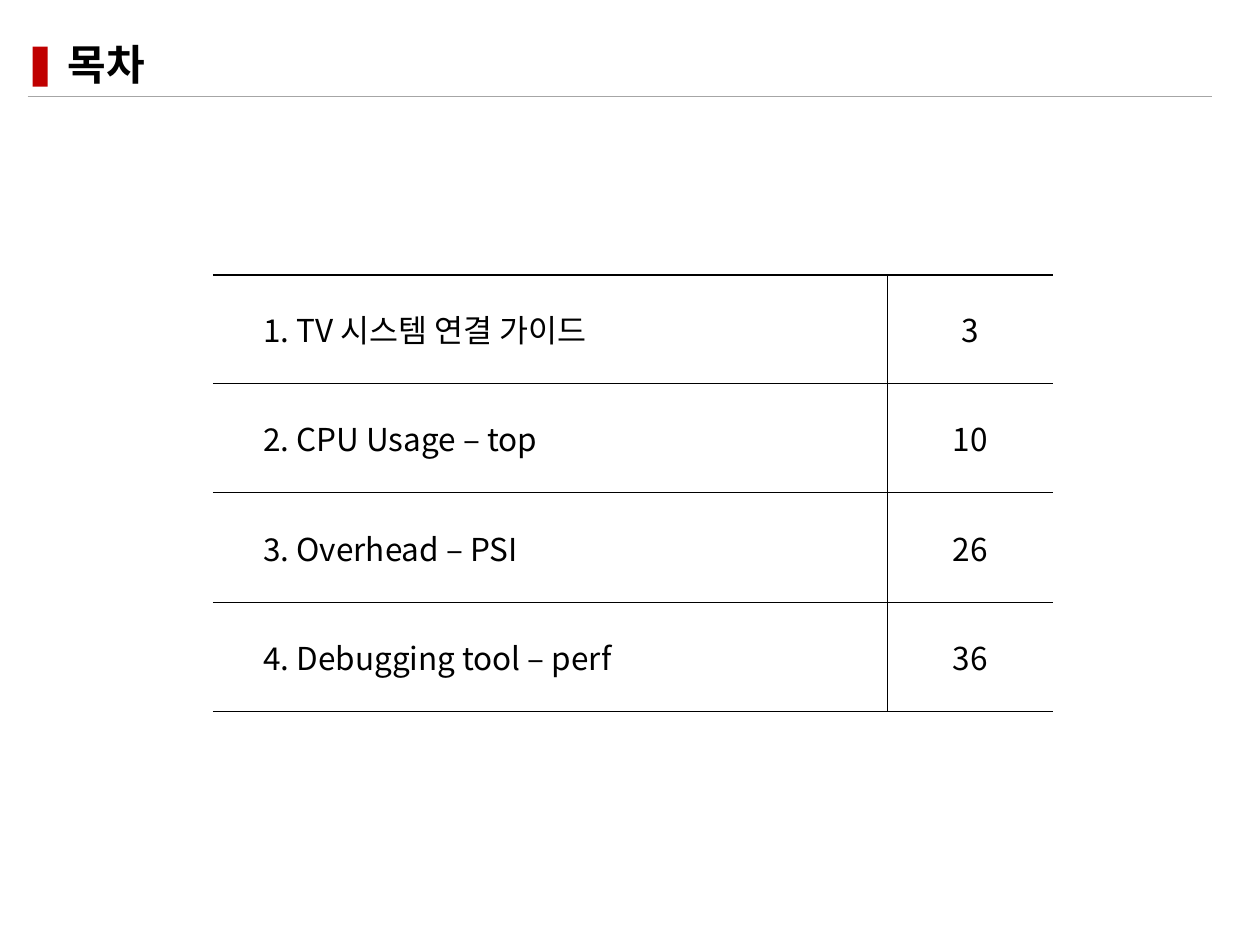
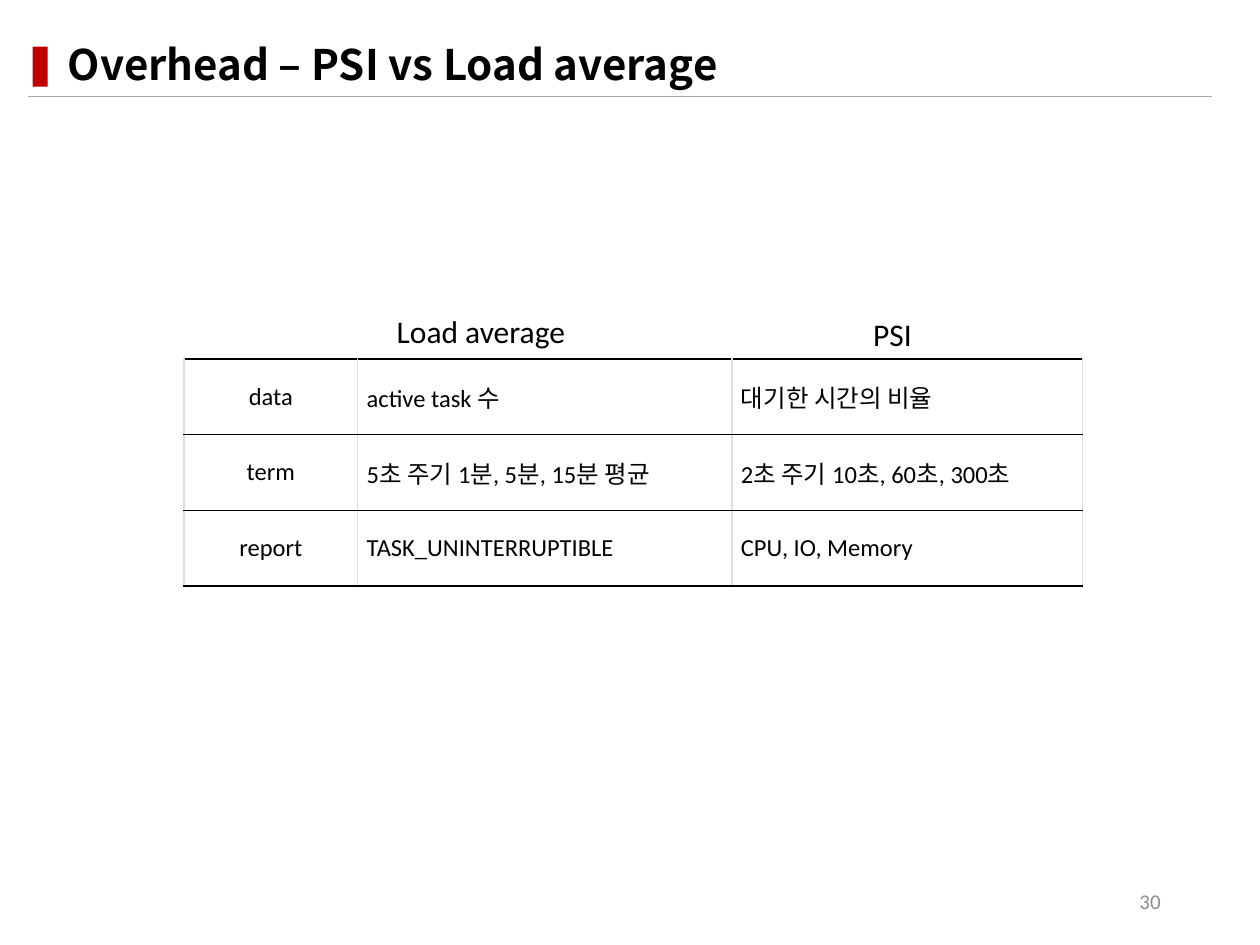
from dataclasses import dataclass

from lxml import etree
from pptx import Presentation
from pptx.dml.color import RGBColor
from pptx.enum.shapes import MSO_CONNECTOR, MSO_SHAPE
from pptx.enum.text import MSO_ANCHOR, MSO_AUTO_SIZE, PP_ALIGN
from pptx.oxml.ns import qn
from pptx.util import Pt

LEFT, CENTER, RIGHT = PP_ALIGN.LEFT, PP_ALIGN.CENTER, PP_ALIGN.RIGHT
TOP, MIDDLE = MSO_ANCHOR.TOP, MSO_ANCHOR.MIDDLE
GROW = MSO_AUTO_SIZE.SHAPE_TO_FIT_TEXT
RECTANGLE, STRAIGHT = MSO_SHAPE.RECTANGLE, MSO_CONNECTOR.STRAIGHT


@dataclass(frozen=True)
class Theme:
    ink: str = "000000"
    paper: str = "FFFFFF"
    accent: str = "C00000"
    rule: str = "A6A6A6"
    grid: str = "DDDDDD"
    muted: str = "8C8C8C"
    korean: str = "Noto Sans CJK KR"
    latin: str = "Calibri"
    title_size: float = 24
    heading_size: float = 18
    body_size: float = 14
    page_size: float = 12


THEME = Theme()
THIN, THICK, GRID = (THEME.ink, 0.5), (THEME.ink, 1), (THEME.grid, 0.75)

HEADER_BOX = (15.8, 23.8, 676.9, 31.6)
CONTENTS_BOX = (121.7, 157, 480.2, 249.7)
COMPARISON_BOX = (105.1, 175, 513.4, 159.8)
PAGE_BOX = (508.3, 500.4, 162, 28.8)

CONTENTS = [
    ("1. TV 시스템 연결 가이드", "3"),
    ("2. CPU Usage – top", "10"),
    ("3. Overhead – PSI", "26"),
    ("4. Debugging tool – perf", "36"),
]
COMPARISON = [
    ("data", "active task 수", "대기한 시간의 비율"),
    ("term", "5초 주기 1분, 5분, 15분 평균", "2초 주기 10초, 60초, 300초"),
    ("report", "TASK_UNINTERRUPTIBLE", "CPU, IO, Memory"),
]


def write(frame, text, size, font, color=THEME.ink, align=LEFT, bold=False):
    frame.text = text
    paragraph = frame.paragraphs[0]
    paragraph.alignment = align
    for run in paragraph.runs:
        run.font.size = Pt(size)
        run.font.name = font
        run.font.bold = bold
        run.font.color.rgb = RGBColor.from_string(color)
        east_asian = etree.Element(qn("a:ea"), typeface=THEME.korean)
        run.font._element.find(qn("a:latin")).addnext(east_asian)
    return paragraph


def add_text(slide, box, text, size, font, anchor=MIDDLE, **style):
    frame = slide.shapes.add_textbox(*map(Pt, box)).text_frame
    paragraph = write(frame, text, size, font, **style)
    frame.word_wrap = True
    frame.vertical_anchor = anchor
    return frame, paragraph


def set_borders(cell, left=None, right=None, top=None, bottom=None):
    """Draw each side given as (colour, width); clear the others."""
    properties = cell._tc.get_or_add_tcPr()
    for side, border in zip("LRTB", (left, right, top, bottom)):
        line = etree.SubElement(properties, qn(f"a:ln{side}"))
        if border is None:
            etree.SubElement(line, qn("a:noFill"))
            continue
        color, width = border
        line.set("w", str(Pt(width)))
        fill = etree.SubElement(line, qn("a:solidFill"))
        etree.SubElement(fill, qn("a:srgbClr"), val=color)


def add_plain_table(slide, box, widths, heights):
    """Add a table without header or banding, sized by its columns and rows."""
    table = slide.shapes.add_table(len(heights), len(widths), *map(Pt, box)).table
    table.first_row = table.horz_banding = False
    for column, width in zip(table.columns, widths):
        column.width = Pt(width)
    for row, height in zip(table.rows, heights):
        row.height = Pt(height)
    return table


def add_header(slide, box, title):
    left, top, width, height = box
    bar = slide.shapes.add_shape(
        RECTANGLE, Pt(left + 2.9), Pt(top + 2.8), Pt(8.6), Pt(23))
    bar.shadow.inherit = False
    bar.fill.solid()
    bar.fill.fore_color.rgb = RGBColor.from_string(THEME.accent)
    bar.line.fill.background()

    bottom = Pt(top + height)
    rule = slide.shapes.add_connector(
        STRAIGHT, Pt(left), bottom, Pt(left + width), bottom)
    rule.line.color.rgb = RGBColor.from_string(THEME.rule)
    rule.line.width = Pt(0.5)
    etree.SubElement(rule._element.spPr, qn("a:effectLst"))

    title_box = (left + 15.9, top, width - 15.9, 28.8)
    _, paragraph = add_text(slide, title_box, title, THEME.title_size,
                            THEME.korean, bold=True)
    paragraph.line_spacing = 0.9


def add_contents(slide, box):
    page_width, first_height = 95, 61.9
    last = len(CONTENTS) - 1
    widths = (box[2] - page_width, page_width)
    heights = [first_height] + [(box[3] - first_height) / last] * last
    table = add_plain_table(slide, box, widths, heights)
    for r, entry in enumerate(CONTENTS):
        edges = {"top": THIN if r else THICK, "bottom": THICK if r == last else THIN}
        for c, text in enumerate(entry):
            cell = table.cell(r, c)
            cell.vertical_anchor = MIDDLE
            paragraph = write(cell.text_frame, text, THEME.heading_size,
                              THEME.korean, align=CENTER if c else LEFT)
            if c == 0:
                paragraph._p.get_or_add_pPr().set("marL", str(Pt(21.6)))
            set_borders(cell, **{"left" if c else "right": THIN}, **edges)
            cell.fill.background()


def add_comparison(slide, box):
    """Place the table at the foot of the box and its column headings above."""
    left, top, width, height = box
    label_width, load_width, row_height = 99.4, 213.8, 43.2
    widths = (label_width, load_width, width - label_width - load_width)
    table_height = row_height * len(COMPARISON)
    table_box = (left, top + height - table_height, width, table_height)
    table = add_plain_table(slide, table_box, widths, [row_height] * len(COMPARISON))
    last = len(COMPARISON) - 1
    for r, aspect in enumerate(COMPARISON):
        for c, text in enumerate(aspect):
            cell = table.cell(r, c)
            cell.vertical_anchor = MIDDLE
            cell.margin_left = cell.margin_right = Pt(5.1)
            write(cell.text_frame, text, THEME.body_size, THEME.latin,
                  align=LEFT if c else CENTER)
            set_borders(cell, GRID, GRID, THIN if r else THICK,
                        THICK if r == last else THIN)
            cell.fill.solid()
            cell.fill.fore_color.rgb = RGBColor.from_string(THEME.paper)

    for heading, x, y in (("Load average", 114.5, 0), ("PSI", 386.7, 1.4)):
        frame, _ = add_text(slide, (left + x, top + y, 134, 28.8), heading,
                            THEME.heading_size, THEME.latin, anchor=TOP)
        frame.auto_size = GROW


def add_page_number(slide, box, number):
    add_text(slide, box, number, THEME.page_size, THEME.latin,
             color=THEME.muted, align=RIGHT)


def add_titled_slide(deck, title):
    slide = deck.slides.add_slide(deck.slide_layouts[6])
    add_header(slide, HEADER_BOX, title)
    return slide


def main():
    deck = Presentation()
    deck.slide_width, deck.slide_height = Pt(720), Pt(540)

    contents = add_titled_slide(deck, "목차")
    add_contents(contents, CONTENTS_BOX)

    comparison = add_titled_slide(deck, "Overhead – PSI vs Load average")
    add_page_number(comparison, PAGE_BOX, "30")
    add_comparison(comparison, COMPARISON_BOX)

    deck.save("out.pptx")


if __name__ == "__main__":
    main()
